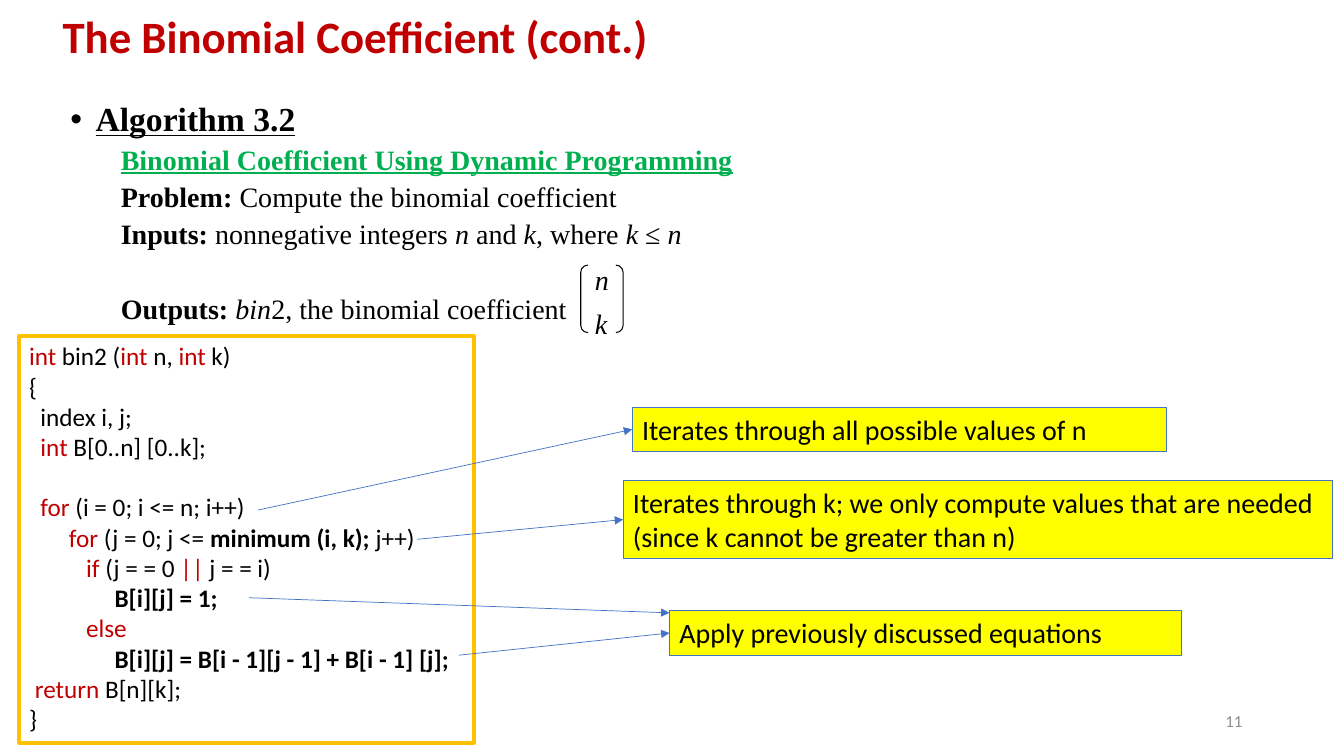
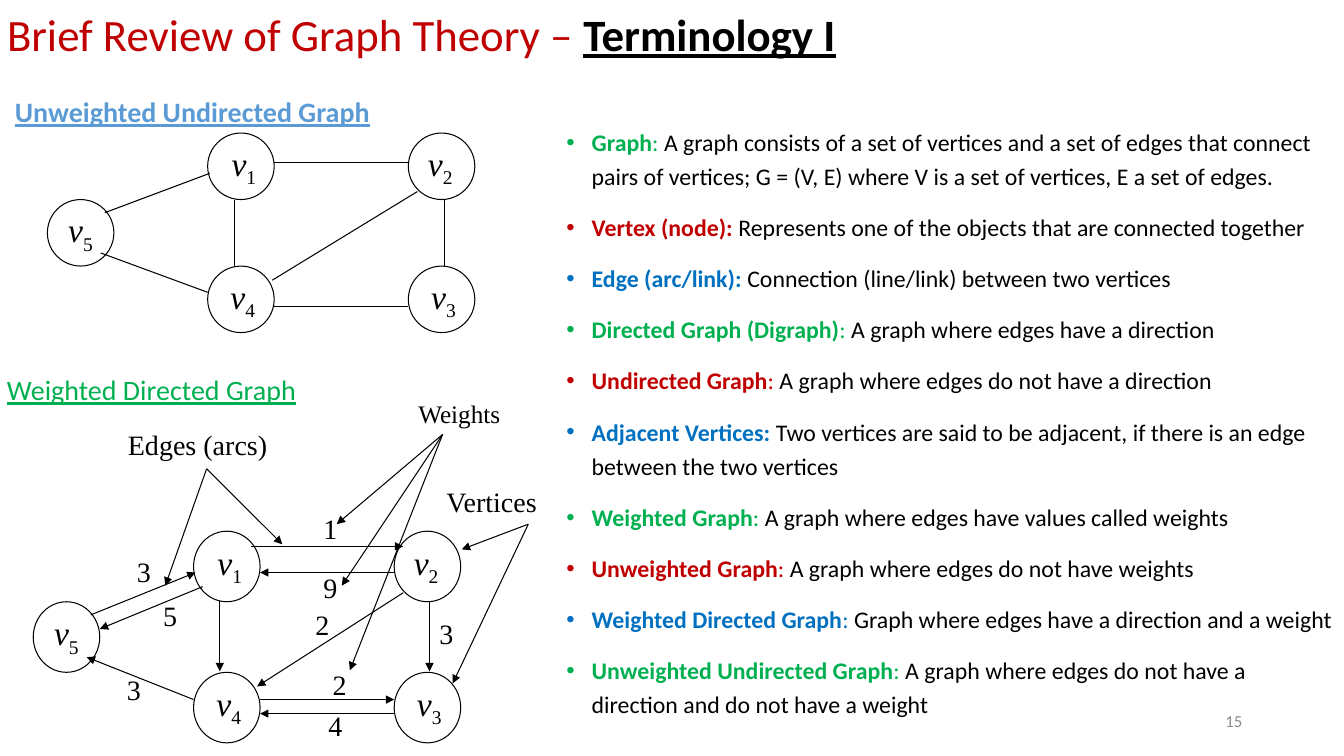
from lxml.etree import SubElement
from pptx import Presentation
from pptx.dml.color import RGBColor
from pptx.enum.shapes import MSO_CONNECTOR, MSO_SHAPE
from pptx.enum.text import MSO_ANCHOR, MSO_AUTO_SIZE, PP_ALIGN
from pptx.oxml.ns import qn
from pptx.util import Inches, Pt

SANS, SERIF = "Calibri", "Times New Roman"
BLACK, WHITE, GRAY = "000000", "FFFFFF", "8C8C8C"
RED, GREEN, BLUE = "C00000", "00B050", "0070C0"
LINE_BLUE, LIGHT_BLUE, YELLOW, GOLD = "4472C4", "5B9BD5", "FFFF00", "FFC000"


def rgb(value):
    return RGBColor.from_string(value)


def bold(text, colour=None):
    return text, "b", colour


def italic(text):
    return text, "i", None


def keyword(text):
    return text, "", RED


class Deck:
    """Holds the shared style and the slide being built."""

    def __init__(self):
        self.presentation = Presentation()
        self.presentation.slide_width = Inches(13.33)
        self.presentation.slide_height = Inches(7.5)
        self.slide = None

    def add_slide(self, title, at, number):
        self.slide = self.presentation.slides.add_slide(self.presentation.slide_layouts[5])
        placeholder = self.slide.shapes.title
        placeholder.left, placeholder.top, placeholder.width, placeholder.height = map(Inches, at)
        frame = placeholder.text_frame
        frame.auto_size = MSO_AUTO_SIZE.NONE
        frame.vertical_anchor = MSO_ANCHOR.MIDDLE
        self.fill_text(frame, [title], size=32, colour=RED, line_spacing=0.9)
        number_frame = self.text((9.42, 6.95, 3, 0.4), [number], size=12, colour=GRAY).text_frame
        number_frame.vertical_anchor = MSO_ANCHOR.MIDDLE
        number_frame.paragraphs[0].alignment = PP_ALIGN.RIGHT

    def fill_text(self, frame, paragraphs, font=SANS, size=20, colour=BLACK,
                  line_spacing=None, space_before=0):
        """Each paragraph is a string or a list of strings and (text, flags, colour) runs.

        The flags are b (bold), i (italic), u (underlined) and s (subscript).
        """
        for index, content in enumerate(paragraphs):
            paragraph = frame.add_paragraph() if index else frame.paragraphs[0]
            paragraph.alignment = PP_ALIGN.LEFT
            if line_spacing:
                paragraph.line_spacing = line_spacing
            paragraph.space_before = Pt(space_before if index else 0)
            for part in [content] if isinstance(content, str) else content:
                text, flags, run_colour = (part, "", None) if isinstance(part, str) else part
                run = paragraph.add_run()
                run.text = text
                run.font.name, run.font.size = font, Pt(size)
                run.font.bold, run.font.italic = "b" in flags, "i" in flags
                run.font.underline = "u" in flags
                run.font.color.rgb = rgb(run_colour or colour)
                if "s" in flags:
                    run._r.get_or_add_rPr().set("baseline", "-25000")

    def text(self, at, paragraphs, wrap=True, **style):
        box = self.slide.shapes.add_textbox(*map(Inches, at))
        box.text_frame.word_wrap = wrap
        self.fill_text(box.text_frame, paragraphs, **style)
        return box

    def shape(self, kind, at, paragraphs=(), fill=None, line=BLACK, line_width=0.75, **style):
        shape = self.slide.shapes.add_shape(kind, *map(Inches, at))
        shape.shadow.inherit = False
        if fill:
            shape.fill.solid()
            shape.fill.fore_color.rgb = rgb(fill)
        else:
            shape.fill.background()
        shape.line.color.rgb = rgb(line)
        shape.line.width = Pt(line_width)
        shape.text_frame.vertical_anchor = MSO_ANCHOR.TOP
        self.fill_text(shape.text_frame, paragraphs, **style)
        return shape

    def line(self, start, end, colour=BLACK, width=0.75, arrow=False):
        connector = self.slide.shapes.add_connector(
            MSO_CONNECTOR.STRAIGHT, *map(Inches, (*start, *end)))
        connector.line.color.rgb = rgb(colour)
        connector.line.width = Pt(width)
        properties = connector._element.spPr
        if arrow:
            SubElement(properties.get_or_add_ln(), qn("a:tailEnd"), type="triangle")
        SubElement(properties, qn("a:effectLst"))
        return connector

    def callout(self, at, lines):
        return self.shape(MSO_SHAPE.RECTANGLE, at, lines, fill=YELLOW, line=LINE_BLUE)

    def callout_arrow(self, start, end, callout=None):
        """Points at a place, or at the left side of a callout when one is given."""
        arrow = self.line(start, end, LINE_BLUE, 0.5, arrow=True)
        if callout:
            arrow.end_connect(callout, 1)

    def bullet(self, paragraph):
        self.indent(paragraph, 0.25, -0.25)
        properties = paragraph._p.get_or_add_pPr()
        SubElement(properties, qn("a:buFont"), typeface="Arial")
        SubElement(properties, qn("a:buChar"), char="•")

    def indent(self, paragraph, left, first=0):
        properties = paragraph._p.get_or_add_pPr()
        properties.set("marL", str(Inches(left)))
        properties.set("indent", str(Inches(first)))

    def graph(self, left, top, node_height, edges, directed):
        """Five vertices on three columns and three rows, with the edges over them."""
        nodes = [("1", 1.59, 0, 0.14), ("2", 3.58, 0, 0.1), ("4", 1.59, 2, 0.13),
                 ("3", 3.58, 2, 0.13), ("5", 0, 1, 0.11)]
        for name, column, row, inset in nodes:
            at = (left + column, top + row * node_height, 0.66, node_height)
            node = self.shape(MSO_SHAPE.OVAL, at, [[italic("v"), (name, "s", None)]],
                              fill=WHITE, font=SERIF, size=24)
            frame = node.text_frame
            frame.margin_left, frame.margin_right = Inches(inset), 0
            frame.margin_top, frame.margin_bottom = 0, Inches(0.05)
        for start, end in edges:
            self.line(start, end, arrow=directed)


def binomial_slide(deck):
    deck.add_slide([bold("The Binomial Coefficient (cont.)")], (0.52, 0.07, 11.5, 0.64), "11")

    body = deck.text((0.6, 0.97, 11.5, 2.4), [
        [("Algorithm 3.2", "bu", None)],
        [("Binomial Coefficient Using Dynamic Programming", "bu", GREEN)],
        [bold("Problem: "), "Compute the binomial coefficient"],
        [bold("Inputs: "), "nonnegative integers ", italic("n"), " and ", italic("k"),
         ", where ", italic("k"), " ≤ ", italic("n")],
        [bold("Outputs: "), italic("bin"), "2, the binomial coefficient"],
    ], font=SERIF, line_spacing=0.9, space_before=5)
    heading, *details = body.text_frame.paragraphs
    heading.runs[0].font.size = Pt(24)
    deck.bullet(heading)
    for paragraph in details:
        deck.indent(paragraph, 0.5)
    details[-1].space_before = Pt(32)

    brackets = deck.shape(MSO_SHAPE.DOUBLE_BRACKET, (5.76, 2.63, 0.42, 0.67))
    brackets.adjustments[0] = 0.17
    coefficient = deck.text((5.84, 2.56, 0.24, 0.8), [[italic("n")], [italic("k")]],
                            wrap=False, font=SERIF, space_before=7)
    coefficient.text_frame.margin_left = coefficient.text_frame.margin_right = Inches(0.06)

    deck.shape(MSO_SHAPE.RECTANGLE, (0.19, 3.33, 4.51, 4.04), [
        [keyword("int"), " bin2 (", keyword("int"), " n, ", keyword("int"), " k)"],
        "{",
        "  index i, j;",
        ["  ", keyword("int"), " B[0..n] [0..k];"],
        [],
        ["  ", keyword("for"), " (i = 0; i <= n; i++)"],
        ["       ", keyword("for"), " (j = 0; j <= ", bold("minimum (i, k); "), "j++)"],
        ["          ", keyword("if"), " (j = = 0 ", keyword("||"), " j = = i)"],
        ["               ", bold("B[i][j] = 1;")],
        ["          ", keyword("else")],
        ["               ", bold("B[i][j] = B[i - 1][j - 1] + B[i - 1] [j];")],
        [" ", keyword("return "), "B[n][k];"],
        "}",
    ], line=GOLD, line_width=2.75, size=18)

    outer_loop = deck.callout((6.27, 4.04, 5.3, 0.44), ["Iterates through all possible values of n"])
    inner_loop = deck.callout((6.18, 4.77, 7.04, 0.77), [
        "Iterates through k; we only compute values that are needed",
        "(since k cannot be greater than n)"])
    equations = deck.callout((6.64, 6.06, 5.08, 0.44), ["Apply previously discussed equations"])
    deck.callout_arrow((2.56, 5.06), (6.27, 4.26), outer_loop)
    deck.callout_arrow((4.14, 5.35), (6.18, 5.16), inner_loop)
    deck.callout_arrow((2.47, 5.93), (6.64, 6.08))
    deck.callout_arrow((4.55, 6.5), (6.64, 6.28), equations)


def graph_slide(deck):
    deck.add_slide(["Brief Review of Graph Theory – ", ("Terminology I", "bu", BLACK)],
                   (-0.03, 0.02, 10.62, 0.7), "15")

    deck.text((0.05, 0.89, 3.75, 0.44), [[("Unweighted Undirected Graph", "bu", LIGHT_BLUE)]],
              wrap=False)
    deck.graph(0.47, 1.32, 0.66, [
        ((1.04, 2.11), (2.08, 1.72)), ((2.7, 2.78), (4.14, 1.9)),
        ((2.33, 1.98), (2.33, 2.64)), ((4.41, 1.98), (4.41, 2.64)),
        ((2.72, 3.04), (4.05, 3.04)), ((2.72, 1.61), (4.05, 1.61)),
        ((1, 2.51), (2.06, 2.9)),
    ], directed=False)

    deck.text((-0.03, 3.65, 3.1, 0.44), [[("Weighted Directed Graph", "u", GREEN)]], wrap=False)
    deck.graph(0.33, 5.27, 0.7, [
        ((0.9, 6.1), (1.94, 5.68)), ((2.01, 5.82), (0.99, 6.24)),
        ((4, 5.88), (2.55, 6.81)), ((2.49, 5.42), (4, 5.42)),
        ((2.58, 6.94), (3.91, 6.94)), ((2.18, 5.96), (2.18, 6.66)),
        ((4.26, 5.96), (4.26, 6.66)), ((3.91, 7.08), (2.58, 7.08)),
        ((3.91, 5.68), (2.58, 5.68)), ((1.92, 6.94), (0.86, 6.52)),
    ], directed=True)
    weights = [("3", 1.26, 5.45), ("4", 3.16, 6.98), ("3", 1.16, 6.62), ("2", 3.2, 6.57),
               ("5", 1.52, 5.89), ("2", 3.03, 5.98), ("9", 3.11, 5.61), ("1", 3.11, 5.03),
               ("3", 4.26, 6.07)]
    for weight, left, top in weights:
        deck.text((left, top, 0.4, 0.46), [weight], font=SERIF)

    pointers = [
        ("Vertices", (4.33, 4.76, 1.1, 0.44), 20, (5.24, 5.2), [(4.58, 5.45), (4.49, 6.78)]),
        ("Edges (arcs)", (1.17, 4.19, 1.59, 0.44), 20, (2.05, 4.65), [(1.64, 5.81), (2.8, 5.4)]),
        ("Weights", (4.05, 3.9, 1.02, 0.4), 18, (4.39, 4.31),
         [(3.34, 5.2), (3.47, 6.65), (3.39, 5.81)]),
    ]
    for label, at, size, start, targets in pointers:
        deck.text(at, [label], wrap=False, font=SERIF, size=size)
        for target in targets:
            deck.line(start, target, arrow=True)

    terms = [
        ("Graph", ": ", "A graph consists of a set of vertices and a set of edges that connect "
         "pairs of vertices; G = (V, E) where V is a set of vertices, E a set of edges."),
        ("Vertex (node): ", "", "Represents one of the objects that are connected together"),
        ("Edge (arc/link): ", "", "Connection (line/link) between two vertices"),
        ("Directed Graph (Digraph)", ": ", "A graph where edges have a direction"),
        ("Undirected Graph", ": ", "A graph where edges do not have a direction"),
        ("Adjacent Vertices: ", "", "Two vertices are said to be adjacent, if there is an edge "
         "between the two vertices"),
        ("Weighted Graph", ": ", "A graph where edges have values called weights"),
        ("Unweighted Graph", ": ", "A graph where edges do not have weights"),
        ("Weighted Directed Graph", ": ", "Graph where edges have a direction and a weight"),
        ("Unweighted Undirected Graph", ": ", "A graph where edges do not have a direction "
         "and do not have a weight"),
    ]
    term_colours = (GREEN, RED, BLUE)
    paragraphs = []
    for index, (term, colon, meaning) in enumerate(terms):
        colour = term_colours[index % 3]
        separator = [(colon, "", colour)] if colon else []
        paragraphs.append([bold(term, colour), *separator, meaning])
    definitions = deck.text((5.52, 1.16, 7.81, 6.26), paragraphs, size=17,
                            line_spacing=1.2, space_before=12)
    for paragraph in definitions.text_frame.paragraphs:
        deck.bullet(paragraph)


def main():
    deck = Deck()
    binomial_slide(deck)
    graph_slide(deck)
    deck.presentation.save("out.pptx")


if __name__ == "__main__":
    main()
